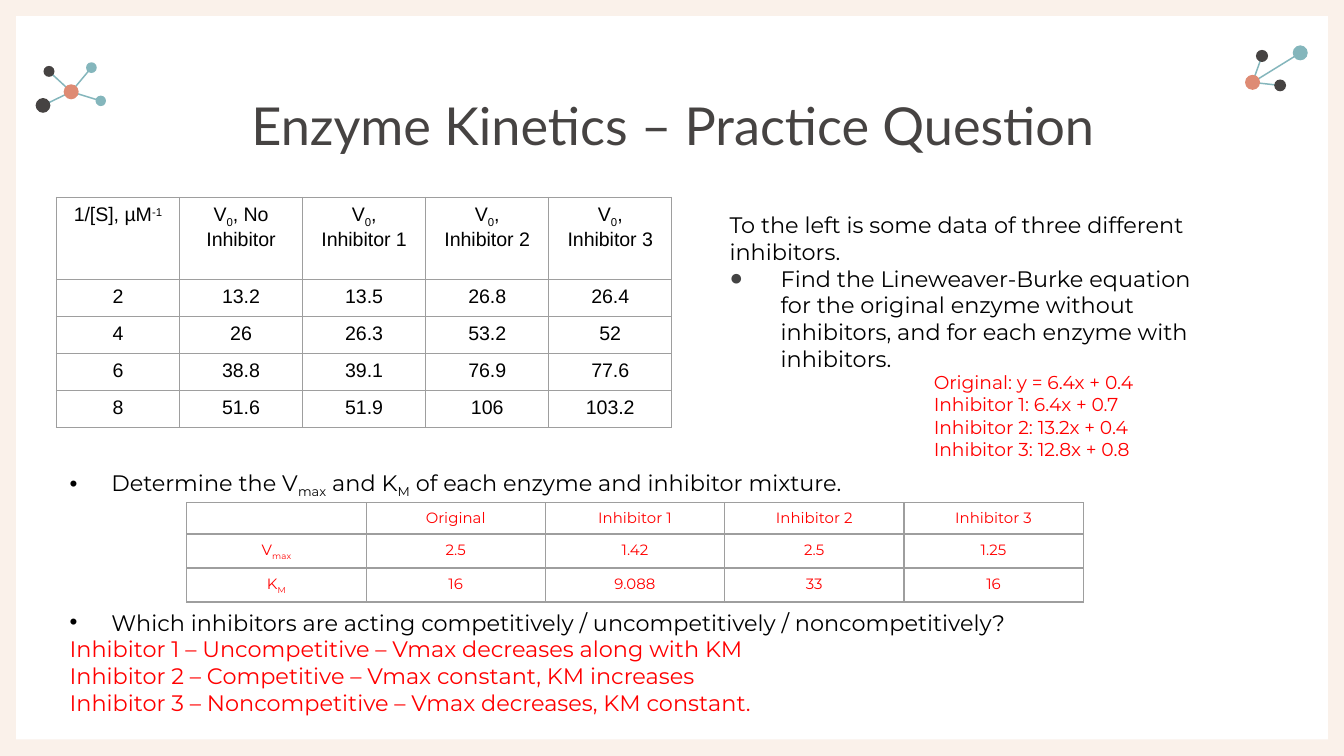
from lxml.etree import SubElement as Sub
from pptx import Presentation
from pptx.dml.color import RGBColor as RGB
from pptx.enum.shapes import MSO_CONNECTOR as Conn, MSO_SHAPE as Form
from pptx.enum.text import MSO_ANCHOR as Anchor, PP_ALIGN as Align
from pptx.oxml.ns import qn
from pptx.util import Inches, Pt

theme = dict(
    cream="FAF1EA", white="FFFFFF", dark="464342", teal="84B6BC", coral="DE8B74",
    black="000000", red="FF0000", grey="9E9E9E", dot="434343",
    title=("Lato", 28), body=("Montserrat", 12), note=("Montserrat", 10),
    data=("Arial", 10.5), key=("Montserrat", 8),
)

deck = Presentation()
deck.slide_width, deck.slide_height = Inches(10), Inches(5.625)
# A grid of 100 columns by 100 rows
col, row = deck.slide_width / 100, deck.slide_height / 100
slide = deck.slides.add_slide(deck.slide_layouts[6])
shapes = slide.shapes


def put(para, runs, style, ink, mark=None, tint="black", left=0, hang=0):
    """Fill a paragraph; a run led by _ is lowered, one led by ^ is raised."""
    face, size = theme[style]
    props = para._p.get_or_add_pPr()
    props.set("marL", str(int(left * col)))
    props.set("indent", str(int(-hang * col)))
    if mark:
        Sub(Sub(props, qn("a:buClr")), qn("a:srgbClr"), val=theme[tint])
        Sub(props, qn("a:buFont"), typeface="Arial")
        Sub(props, qn("a:buChar"), char=mark)
    for text in runs:
        run = para.add_run()
        run.text = text.lstrip("_^")
        run.font.name, run.font.size = face, Pt(size)
        run.font.color.rgb = RGB.from_string(theme[ink])
        base = {"_": "-25000", "^": "30000"}.get(text[0])
        if base:
            run._r.get_or_add_rPr().set("baseline", base)
    if not runs:
        Sub(para._p, qn("a:endParaRPr"), sz=str(int(size * 100)))


def box(x, y, wide, high, pad):
    """Add a wrapped text box, placed in grid units."""
    frame = shapes.add_textbox(int(x * col), int(y * row),
                               int(wide * col), int(high * row)).text_frame
    frame.word_wrap = True
    frame.vertical_anchor = Anchor.TOP
    frame.margin_top = frame.margin_bottom = Inches(pad)
    return frame


# Backdrop and white panel
back = slide.background.fill
back.solid()
back.fore_color.rgb = RGB.from_string(theme["cream"])
panel = shapes.add_shape(Form.RECTANGLE, int(1.2 * col), int(2.13 * row),
                         int(97.6 * col), int(95.7 * row))
panel.shadow.inherit = False
panel.fill.solid()
panel.fill.fore_color.rgb = RGB.from_string(theme["white"])
panel.line.fill.background()

# Molecules: a hub first, then its atoms (column, row, width in columns, colour)
webs = [
    [(5.3, 12.15, 1.12, "coral"), (3.65, 9.45, 0.82, "dark"), (3.2, 13.95, 1.1, "dark"),
     (6.8, 8.95, 0.8, "teal"), (7.5, 13.35, 0.78, "teal")],
    [(93.2, 10.9, 1.12, "coral"), (93.9, 7.4, 0.9, "dark"), (95.25, 11.3, 0.88, "dark"),
     (96.75, 7, 1.12, "teal")],
]
for web in webs:
    hub = web[0]
    for atom in web[1:]:
        bond = shapes.add_connector(Conn.STRAIGHT, int(hub[0] * col), int(hub[1] * row),
                                    int(atom[0] * col), int(atom[1] * row))
        bond.line.width = Pt(0.78)
        bond.line.color.rgb = RGB.from_string(theme["teal"])
        Sub(bond._element.spPr, qn("a:effectLst"))
    for x, y, wide, ink in web:
        side = int(wide * col)
        ball = shapes.add_shape(Form.OVAL, int(x * col - side / 2),
                                int(y * row - side / 2), side, side)
        ball.shadow.inherit = False
        ball.fill.solid()
        ball.fill.fore_color.rgb = RGB.from_string(theme[ink])
        ball.line.fill.background()

# Title
head = box(7.8, 10.5, 84.5, 11.2, 0.1).paragraphs[0]
head.alignment = Align.CENTER
put(head, ["Enzyme Kinetics – Practice Question"], "title", "dark")

# Task
task = box(52.1, 26.13, 40.2, 26.13, 0.1)
put(task.paragraphs[0], ["To the left is some data of three different inhibitors."],
    "body", "black", left=1.2)
put(task.add_paragraph(),
    ["Find the Lineweaver-Burke equation for the original enzyme without inhibitors, "
     "and for each enzyme with inhibitors."],
    "body", "black", "●", "dot", 5, 3.8)

# Questions and answers, with room for the key table between
quiz = box(4.2, 61.16, 88.1, 34.13, 0.05)
put(quiz.paragraphs[0],
    ["Determine the V", "_max", " and K", "_M", " of each enzyme and inhibitor mixture."],
    "body", "black", "•", left=3.1, hang=3.1)
ask = quiz.add_paragraph()
ask.space_before = Pt(58.5)
put(ask, ["Which inhibitors are acting competitively / uncompetitively / noncompetitively?"],
    "body", "black", "•", left=3.1, hang=3.1)
for text in ["Inhibitor 1 – Uncompetitive – Vmax decreases along with KM",
             "Inhibitor 2 – Competitive – Vmax constant, KM increases",
             "Inhibitor 3 – Noncompetitive – Vmax decreases, KM constant."]:
    put(quiz.add_paragraph(), [text], "body", "red")

# Fitted lines
fit = box(67.3, 48.18, 19.3, 13.7, 0.05)
for i, text in enumerate(["Original: y = 6.4x + 0.4", "Inhibitor 1: 6.4x + 0.7",
                          "Inhibitor 2: 13.2x + 0.4", "Inhibitor 3: 12.8x + 0.8"]):
    para = fit.add_paragraph() if i else fit.paragraphs[0]
    put(para, [text], "note", "red", left=1.2)

# Tables: place, row heights, style, ink, cells
kinds = ["No Inhibitor", "Inhibitor 1", "Inhibitor 2", "Inhibitor 3"]
rates = [["2", "13.2", "13.5", "26.8", "26.4"], ["4", "26", "26.3", "53.2", "52"],
         ["6", "38.8", "39.1", "76.9", "77.6"], ["8", "51.6", "51.9", "106", "103.2"]]
data = [[["1/[S], µM", "^-1"]] + [["V", "_0", ", " + kind] for kind in kinds]]
data += [[[text] for text in line] for line in rates]
key = [[[]] + [[kind] for kind in ["Original"] + kinds[1:]],
       [["V", "_max"], ["2.5"], ["1.42"], ["2.5"], ["1.25"]],
       [["K", "_M"], ["16"], ["9.088"], ["33"], ["16"]]]
grids = [(4.2, 26.13, 45.8, [10.84] + [4.67] * 4, "data", "black", data),
         (13.9, 66.49, 66.7, [4.1, 4.5, 4.5], "key", "red", key)]
for x, y, wide, highs, style, ink, lines in grids:
    grid = shapes.add_table(len(lines), 5, int(x * col), int(y * row),
                            int(wide * col), int(sum(highs) * row)).table
    grid.first_row = grid.horz_banding = False
    for r, line in enumerate(lines):
        grid.rows[r].height = int(highs[r] * row)
        for c, runs in enumerate(line):
            cell = grid.cell(r, c)
            para = cell.text_frame.paragraphs[0]
            para.alignment = Align.CENTER
            put(para, runs, style, ink)
            props = cell._tc.get_or_add_tcPr()
            for side in ["lnL", "lnR", "lnT", "lnB"]:
                edge = Sub(props, qn("a:" + side), w=str(Pt(0.75)))
                Sub(Sub(edge, qn("a:solidFill")), qn("a:srgbClr"), val=theme["grey"])
            cell.fill.background()

deck.save("out.pptx")
